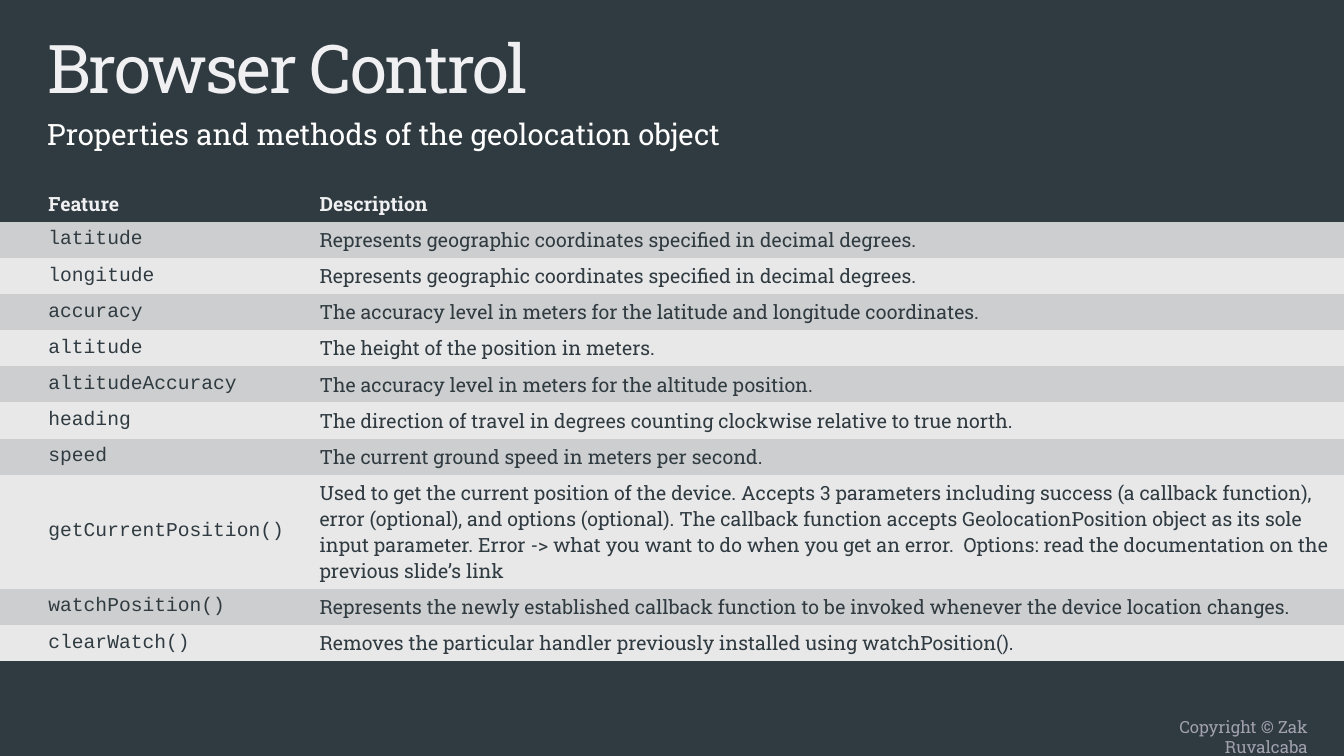
from pptx import Presentation
from pptx.dml.color import RGBColor
from pptx.enum.text import MSO_ANCHOR, PP_ALIGN
from pptx.util import Inches, Pt

MIDDLE = MSO_ANCHOR.MIDDLE
LEFT, RIGHT = PP_ALIGN.LEFT, PP_ALIGN.RIGHT

WIDTH, HEIGHT = 13.33, 7.5
SERIF, MONO = "Roboto Slab", "Courier New"
COLORS = {
    "background": "303B41",
    "title": "F0F0F2",
    "subtitle": "FFFFFF",
    "footer": "A1A1AD",
    "band_dark": "CDCECF",
    "band_light": "E8E8E9",
}

HEADINGS = ("Feature", "Description")
LONG_FEATURE = "getCurrentPosition()"
FEATURES = [
    ("latitude", "Represents geographic coordinates specified in decimal degrees."),
    ("longitude", "Represents geographic coordinates specified in decimal degrees."),
    ("accuracy", "The accuracy level in meters for the latitude and longitude coordinates."),
    ("altitude", "The height of the position in meters."),
    ("altitudeAccuracy", "The accuracy level in meters for the altitude position."),
    ("heading", "The direction of travel in degrees counting clockwise relative to true north."),
    ("speed", "The current ground speed in meters per second."),
    (LONG_FEATURE,
     "Used to get the current position of the device. Accepts 3 parameters including "
     "success (a callback function), error (optional), and options (optional). The "
     "callback function accepts GeolocationPosition object as its sole input parameter. "
     "Error -> what you want to do when you get an error.  Options: read the "
     "documentation on the previous slide’s link"),
    ("watchPosition()",
     "Represents the newly established callback function to be invoked whenever the "
     "device location changes."),
    ("clearWatch()",
     "Removes the particular handler previously installed using watchPosition()."),
]


def color(name):
    return RGBColor.from_string(COLORS[name])


def style(paragraph, size, color_name, font_name=SERIF, bold=False):
    font = paragraph.font
    font.name, font.size, font.bold = font_name, Pt(size), bold
    font.color.rgb = color(color_name)


def add_text(slide, box, text, size, color_name, align=LEFT, spacing=1.0):
    shape = slide.shapes.add_textbox(*map(Inches, box))
    frame = shape.text_frame
    frame.word_wrap = True
    paragraph = frame.paragraphs[0]
    paragraph.text = text
    paragraph.alignment = align
    paragraph.line_spacing = spacing
    style(paragraph, size, color_name)
    return paragraph


def add_header(slide, box):
    """Title in the upper two thirds of the box, subtitle in the rest."""
    left, top, width, height = box
    title_height = height * 2 / 3
    title = add_text(slide, (left, top, width, title_height),
                     "Browser Control", 48, "title")
    title.runs[0].font._element.set("spc", "-150")  # tighter letters
    add_text(slide, (left, top + title_height, width, height - title_height),
             "Properties and methods of the geolocation object",
             21, "subtitle", spacing=1.3)


def add_feature_table(slide, box):
    """Full-width table with a heading row and alternating bands."""
    rows = [HEADINGS, *FEATURES]
    table = slide.shapes.add_table(len(rows), 2, *map(Inches, box)).table
    feature_width = 3.07
    table.columns[0].width = Inches(feature_width)
    table.columns[1].width = Inches(box[2] - feature_width)

    # No built-in style: plain cells without borders
    style_id = table._tbl.tblPr.find("{*}tableStyleId")
    style_id.text = "{2D5ABB26-0587-4C30-8999-92F81FD0307C}"

    # One tall row; the others share the remaining height
    long_height = 1.13
    short_height = (box[3] - long_height) / (len(rows) - 1)

    for row_index, texts in enumerate(rows):
        is_long = texts[0] == LONG_FEATURE
        table.rows[row_index].height = Inches(long_height if is_long else short_height)
        heading = row_index == 0
        band = "band_dark" if row_index % 2 else "band_light"
        for column_index, text in enumerate(texts):
            cell = table.cell(row_index, column_index)
            cell.fill.solid()
            cell.fill.fore_color.rgb = color("background" if heading else band)
            cell.vertical_anchor = MIDDLE
            if column_index == 0:
                cell.margin_left = Inches(0.48)
            paragraph = cell.text_frame.paragraphs[0]
            paragraph.text = text
            font_name = MONO if column_index == 0 and not heading else SERIF
            style(paragraph, 14, "title" if heading else "background", font_name, heading)


def add_footer(slide, box):
    add_text(slide, box, "Copyright © Zak Ruvalcaba", 12, "footer", align=RIGHT)


def main():
    presentation = Presentation()
    presentation.slide_width, presentation.slide_height = Inches(WIDTH), Inches(HEIGHT)
    slide = presentation.slides.add_slide(presentation.slide_layouts[6])
    slide.background.fill.solid()
    slide.background.fill.fore_color.rgb = color("background")

    add_footer(slide, (10.78, 7.06, 2.29, 0.31))
    add_header(slide, (0.37, 0.21, 11.76, 1.18))
    add_feature_table(slide, (0, 1.84, WIDTH, 4.72))
    presentation.save("out.pptx")


if __name__ == "__main__":
    main()
